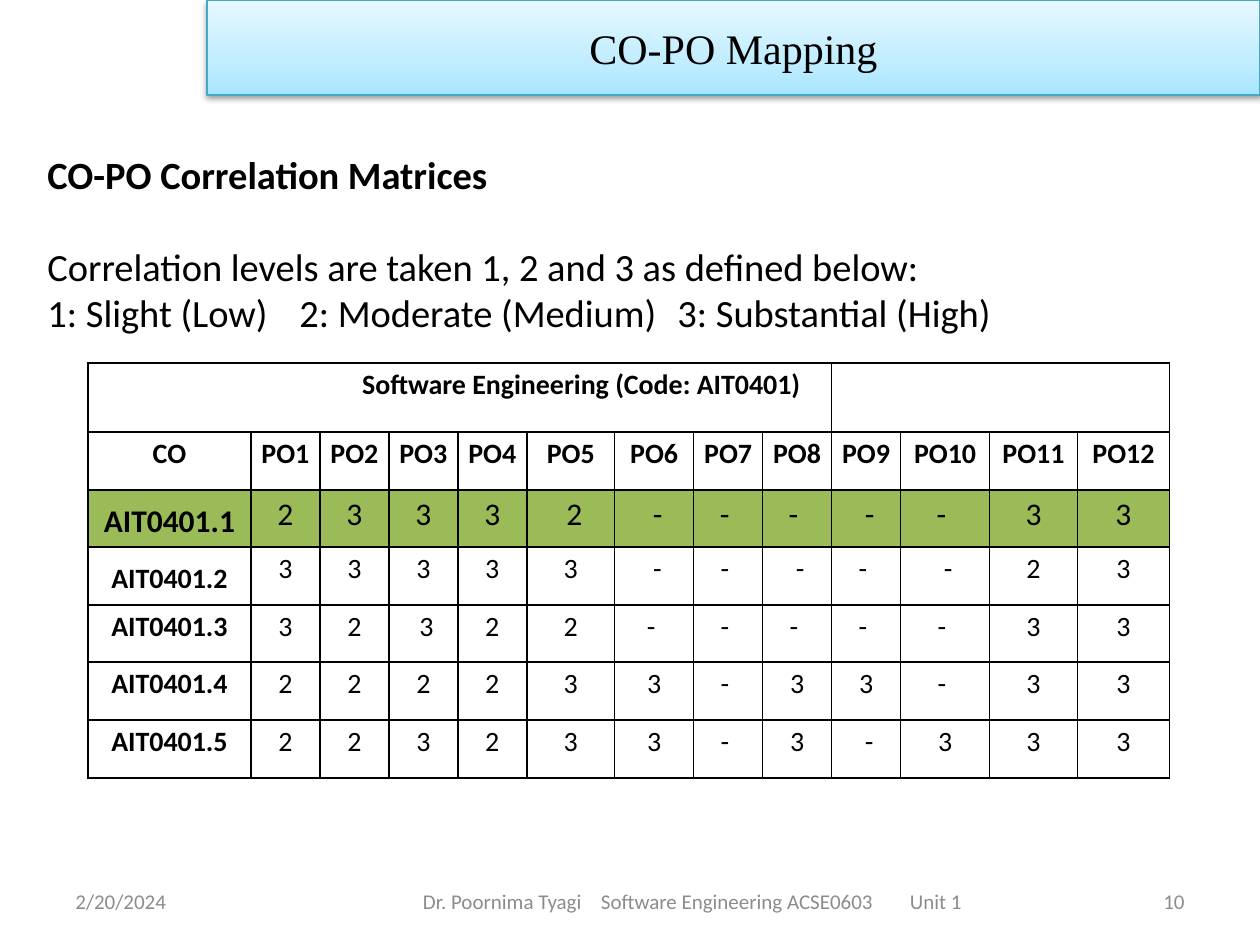
import itertools
import lxml.etree
import pptx
import pptx.dml.color
import pptx.enum.shapes
import pptx.enum.text
import pptx.oxml
import pptx.oxml.ns
import pptx.util

PX = 914400 / 126
INK = {
    "text": "000000", "gray": "8C8C8C", "row": "9BBB59", "edge": "46AAC5",
    "deep": "A7E6FF", "mid": "C1EDFF", "pale": "E7F8FF",
}
ALIGN = pptx.enum.text.PP_ALIGN
MIDDLE = pptx.enum.text.MSO_ANCHOR.MIDDLE
TOP = pptx.enum.text.MSO_ANCHOR.TOP
WIDTHS = [163, 69, 69, 69, 69, 88, 79, 69, 69, 69, 89, 88, 92]
HEIGHTS = [69, 58, 57, 58, 57, 58, 58]
ROWS = [
    "CO|PO1|PO2|PO3|PO4|PO5|PO6|PO7|PO8|PO9|PO10|PO11|PO12",
    "AIT0401.1|2|3|3|3| 2| -|- |- | -|- |3|3",
    "AIT0401.2|3|3|3|3|3| -|- | -|- | -|2|3",
    "AIT0401.3|3|2| 3|2|2|- |- |- |- |- |3|3",
    "AIT0401.4|2|2|2|2|3|3|- |3|3|- |3|3",
    "AIT0401.5|2|2|3|2|3|3|- |3| -|3|3|3",
]


def emu(px):
    return pptx.util.Emu(round(px * PX))


def rgb(name):
    return pptx.dml.color.RGBColor.from_string(INK[name])


def apply(item, form):
    for key, value in form.items():
        setattr(item, key, value)


def node(root, tag, **attrs):
    return lxml.etree.SubElement(root, pptx.oxml.ns.qn(tag), attrs)


def write(para, text, size, ink="text", face="Calibri", bold=False, **form):
    run = para.add_run()
    run.text = text
    apply(run.font, {"size": pptx.util.Pt(size), "name": face, "bold": bold})
    run.font.color.rgb = rgb(ink)
    apply(para, form)


def frame(slide, box):
    area = slide.shapes.add_textbox(*map(emu, box)).text_frame
    apply(area, {"word_wrap": True, "vertical_anchor": MIDDLE})
    return area


def banner(slide, box):
    kind = pptx.enum.shapes.MSO_SHAPE.RECTANGLE
    shape = slide.shapes.add_shape(kind, *map(emu, box))
    shape.shadow.inherit = False
    shape.fill.gradient()
    shape.fill.gradient_angle = 90
    props = shape.element.spPr
    stops = props.find(".//" + pptx.oxml.ns.qn("a:gsLst"))
    for old in list(stops):
        stops.remove(old)
    for spot, name in ((0, "deep"), (35, "mid"), (100, "pale")):
        stop = node(stops, "a:gs", pos=str(spot * 1000))
        node(stop, "a:srgbClr", val=INK[name])
    shape.line.color.rgb = rgb("edge")
    shape.line.width = pptx.util.Pt(0.75)
    glow = node(props.find(pptx.oxml.ns.qn("a:effectLst")), "a:outerShdw",
                blurRad=str(pptx.util.Pt(3.1)), dist=str(pptx.util.Pt(1.6)),
                dir="5400000", rotWithShape="0")
    node(node(glow, "a:srgbClr", val=INK["text"]), "a:alpha", val="38000")
    area = shape.text_frame
    apply(area, {"word_wrap": True, "vertical_anchor": MIDDLE})
    write(area.paragraphs[0], "CO-PO Mapping", 24, face="Times New Roman",
          alignment=ALIGN.CENTER)


def intro(slide, box):
    area = frame(slide, box)
    write(area.paragraphs[0], "CO-PO Correlation Matrices", 22, bold=True)
    write(area.add_paragraph(),
          "Correlation levels are taken 1, 2 and 3 as defined below:", 22,
          space_before=pptx.util.Pt(26))
    write(area.add_paragraph(),
          "1: Slight (Low)\t2: Moderate (Medium)\t3: Substantial (High)", 22)


def style(cell, fill=None):
    apply(cell, {"margin_left": emu(9), "margin_right": emu(9),
                 "margin_top": 0, "margin_bottom": 0})
    props = cell._tc.get_or_add_tcPr()
    for side in "LRTB":
        line = node(props, "a:ln" + side, w=str(pptx.util.Pt(1)))
        node(node(line, "a:solidFill"), "a:srgbClr", val=INK["text"])
    if fill:
        cell.fill.solid()
        cell.fill.fore_color.rgb = rgb(fill)
    else:
        cell.fill.background()


def fill_cell(cell, text, size, bold, align=ALIGN.CENTER):
    write(cell.text_frame.paragraphs[0], text, size, bold=bold,
          alignment=align, line_spacing=1.15,
          space_after=pptx.util.Pt(10))


def matrix(slide, left, top):
    box = (left, top, sum(WIDTHS), sum(HEIGHTS))
    table = slide.shapes.add_table(
        len(HEIGHTS), len(WIDTHS), *map(emu, box)).table
    apply(table, {"first_row": False, "horz_banding": False})
    for col, width in zip(table.columns, WIDTHS):
        col.width = emu(width)
    for row, height in zip(table.rows, HEIGHTS):
        row.height = emu(height)
    for r, c in itertools.product(range(len(HEIGHTS)), range(len(WIDTHS))):
        style(table.cell(r, c), "row" if r == 2 else None)
    for r, line in enumerate(ROWS, 1):
        for c, text in enumerate(line.split("|")):
            cell = table.cell(r, c)
            cell.vertical_anchor = MIDDLE if c == 0 and r in (2, 3) else TOP
            fill_cell(cell, text, 18 if r == 2 else 16, r == 1 or c == 0)
    head = table.cell(0, 0)
    head.merge(table.cell(0, 8))
    table.cell(0, 9).merge(table.cell(0, 12))
    head.margin_right = emu(31)
    fill_cell(head, "Software Engineering (Code: AIT0401)", 16, True,
              ALIGN.RIGHT)


def footer(slide, top, height):
    date = frame(slide, (63, top, 294, height))
    write(date.paragraphs[0], "2/20/2024", 12, "gray")
    unit = frame(slide, (346, top, 693, height))
    unit.margin_left = emu(77)
    para = unit.paragraphs[0]
    tabs = node(para._p.get_or_add_pPr(), "a:tabLst")
    for stop in (178, 487):
        node(tabs, "a:tab", pos=str(emu(stop)), algn="l")
    write(para, "Dr. Poornima Tyagi\tSoftware Engineering ACSE0603\tUnit 1",
          12, "gray")
    page = frame(slide, (903, top, 294, height))
    write(page.paragraphs[0], "10", 12, "gray", alignment=ALIGN.RIGHT)


def main():
    deck = pptx.Presentation()
    apply(deck, {"slide_width": emu(1260), "slide_height": emu(945)})
    slide = deck.slides.add_slide(deck.slide_layouts[6])
    footer(slide, 876, 50)
    banner(slide, (207, 0, 1053, 95))
    intro(slide, (35, 144, 1152, 199))
    matrix(slide, 88, 363)
    deck.save("out.pptx")


if __name__ == "__main__":
    main()
